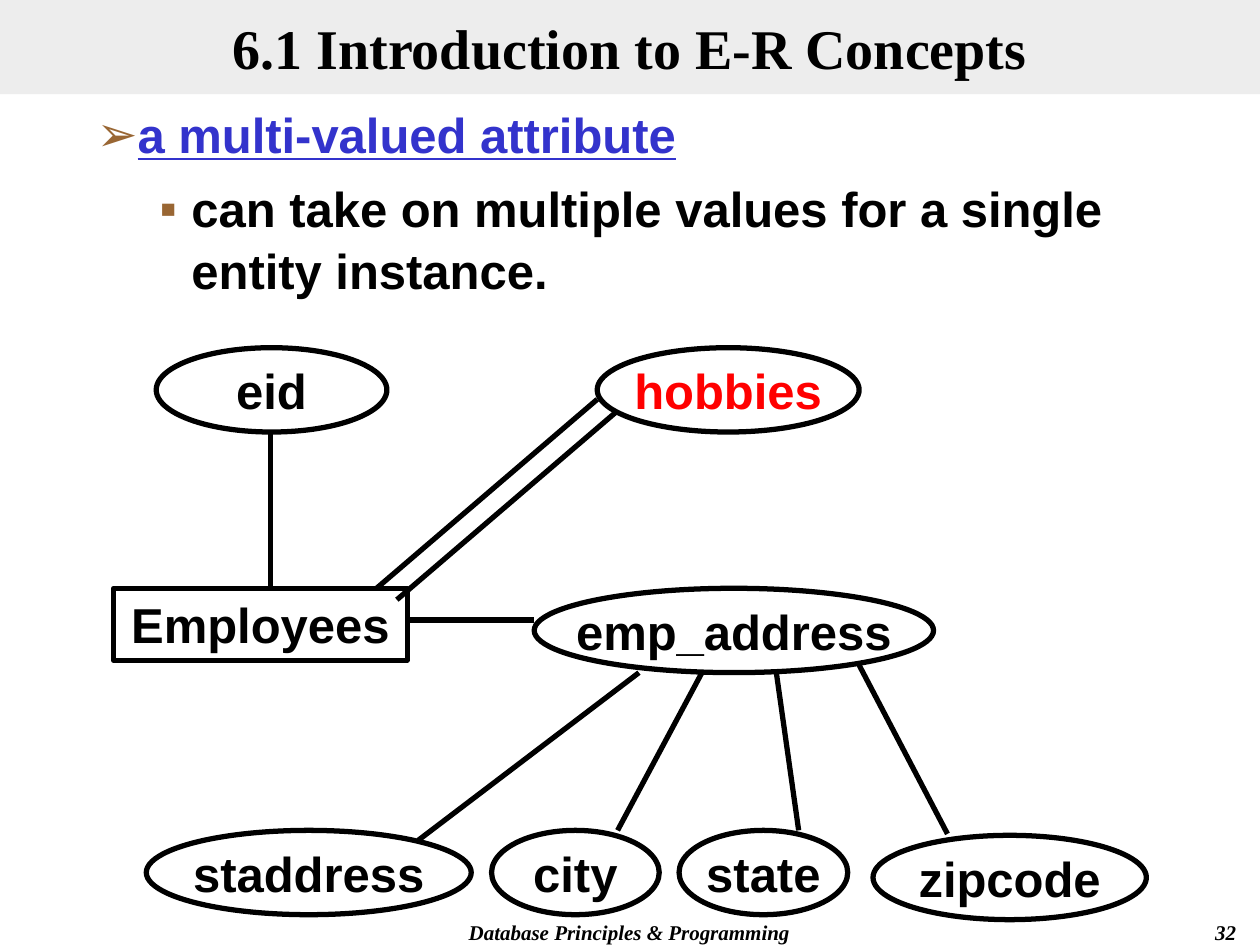
from lxml import etree
from pptx import Presentation
from pptx.dml.color import RGBColor
from pptx.enum.shapes import MSO_CONNECTOR, MSO_SHAPE
from pptx.enum.text import MSO_ANCHOR, PP_ALIGN
from pptx.oxml.ns import qn
from pptx.util import Cm, Pt

BLACK = RGBColor(0x00, 0x00, 0x00)
RED = RGBColor(0xFF, 0x00, 0x00)
BLUE = RGBColor(0x33, 0x33, 0xCC)
BROWN = RGBColor(0x99, 0x66, 0x33)
GREY = RGBColor(0xDD, 0xDD, 0xDD)

RECTANGLE, OVAL = MSO_SHAPE.RECTANGLE, MSO_SHAPE.OVAL
STRAIGHT = MSO_CONNECTOR.STRAIGHT
TOP, MIDDLE = MSO_ANCHOR.TOP, MSO_ANCHOR.MIDDLE
LEFT, CENTER, RIGHT = PP_ALIGN.LEFT, PP_ALIGN.CENTER, PP_ALIGN.RIGHT

LINE_WIDTH = Pt(3)
OVAL_HEIGHT = 1.7
TITLE_FONT = {"name": "Times New Roman", "size": Pt(32), "bold": True}
FOOTER_FONT = {"name": "Times New Roman", "size": Pt(12), "bold": True, "italic": True}
BODY_FONT = {"name": "Arial", "size": Pt(28), "bold": True}

# name, left, top, width, text colour
ATTRIBUTES = [
    ("eid", 3.15, 7.01, 4.65, BLACK),
    ("hobbies", 12.04, 7.01, 5.28, RED),
    ("emp_address", 10.77, 11.86, 8.05, BLACK),
    ("staddress", 2.95, 16.74, 6.55, BLACK),
    ("city", 9.91, 16.74, 3.38, BLACK),
    ("state", 13.69, 16.74, 3.4, BLACK),
    ("zipcode", 17.6, 16.84, 5.51, BLACK),
]

# begin x, begin y, end x, end y
LINKS = [
    (5.46, 8.69, 5.46, 11.86),      # eid to Employees
    (10.77, 12.5, 8.23, 12.5),      # emp_address to Employees
    (12.04, 8.05, 7.59, 11.86),     # hobbies to Employees, double line
    (12.45, 8.28, 8.0, 12.09),
    (12.88, 13.56, 8.43, 16.94),    # emp_address to its parts
    (14.15, 13.56, 12.45, 16.74),
    (15.65, 13.56, 16.1, 16.74),
    (17.32, 13.41, 19.1, 16.81),
]

# text, colour, underline, bullet, margin, hanging indent, space before
BULLETS = [
    ("a multi-valued attribute", BLUE, True, "➢", 2.06, 0.79, 0),
    ("can take on multiple values for a single entity instance.",
     BLACK, False, "▪", 3.18, 0.64, 7),
]


def write(para, text, font, colour=BLACK, align=CENTER):
    para.alignment = align
    span = para.add_run()
    span.text = text
    for name, value in font.items():
        setattr(span.font, name, value)
    span.font.color.rgb = colour
    return span


def add_text_box(slide, left, top, width, height):
    box = slide.shapes.add_textbox(Cm(left), Cm(top), Cm(width), Cm(height))
    box.text_frame.word_wrap = True
    return box.text_frame


def add_node(slide, kind, name, left, top, width, height, colour=BLACK):
    """Add an outlined entity or attribute with its name inside."""
    node = slide.shapes.add_shape(kind, Cm(left), Cm(top), Cm(width), Cm(height))
    node.shadow.inherit = False
    node.fill.background()
    node.line.color.rgb = BLACK
    node.line.width = LINE_WIDTH
    frame = node.text_frame
    frame.word_wrap = kind == RECTANGLE
    frame.vertical_anchor = TOP if kind == RECTANGLE else MIDDLE
    write(frame.paragraphs[0], name, BODY_FONT, colour)


def add_link(slide, *ends):
    link = slide.shapes.add_connector(STRAIGHT, *map(Cm, ends))
    link.line.color.rgb = BLACK
    link.line.width = LINE_WIDTH
    properties = link._element.spPr
    etree.SubElement(properties, qn("a:effectLst"))


def add_title(slide, text):
    banner = slide.shapes.add_shape(RECTANGLE, 0, 0, Cm(25.4), Cm(1.9))
    banner.shadow.inherit = False
    banner.fill.solid()
    banner.fill.fore_color.rgb = GREY
    colour = banner._element.spPr.find(".//" + qn("a:srgbClr"))
    etree.SubElement(colour, qn("a:alpha"), val="50000")
    banner.line.fill.background()
    banner.text_frame.vertical_anchor = MIDDLE
    write(banner.text_frame.paragraphs[0], text, TITLE_FONT)


def set_bullet(para, symbol, margin, hanging):
    properties = para._p.get_or_add_pPr()
    properties.set("marL", str(Cm(margin)))
    properties.set("indent", str(-Cm(hanging)))
    colour = etree.SubElement(properties, qn("a:buClr"))
    etree.SubElement(colour, qn("a:srgbClr"), val=str(BROWN))
    etree.SubElement(properties, qn("a:buFont"), typeface="Arial")
    etree.SubElement(properties, qn("a:buChar"), char=symbol)


def add_bullets(slide):
    frame = add_text_box(slide, 0.43, 1.93, 24.13, 4.39)
    for index, bullet in enumerate(BULLETS):
        text, colour, underline, symbol, margin, hanging, before = bullet
        para = frame.add_paragraph() if index else frame.paragraphs[0]
        set_bullet(para, symbol, margin, hanging)
        para.line_spacing = 1.05
        para.space_before = Pt(before)
        span = write(para, text, BODY_FONT, colour, LEFT)
        span.font.underline = underline


def add_footer(slide, text, left, width, align):
    frame = add_text_box(slide, left, 18.42, width, 0.64)
    write(frame.paragraphs[0], text, FOOTER_FONT, align=align)


def main():
    deck = Presentation()
    deck.slide_width, deck.slide_height = Cm(25.4), Cm(19.05)
    slide = deck.slides.add_slide(deck.slide_layouts[6])
    add_footer(slide, "Database Principles & Programming", 7.19, 11, CENTER)
    add_footer(slide, "32", 19.89, 5.28, RIGHT)
    add_title(slide, "6.1 Introduction to E-R Concepts")
    add_bullets(slide)
    add_node(slide, RECTANGLE, "Employees", 2.29, 11.86, 5.92, 1.45)
    for name, left, top, width, colour in ATTRIBUTES:
        add_node(slide, OVAL, name, left, top, width, OVAL_HEIGHT, colour)
    for ends in LINKS:
        add_link(slide, *ends)
    deck.save("out.pptx")


if __name__ == "__main__":
    main()
